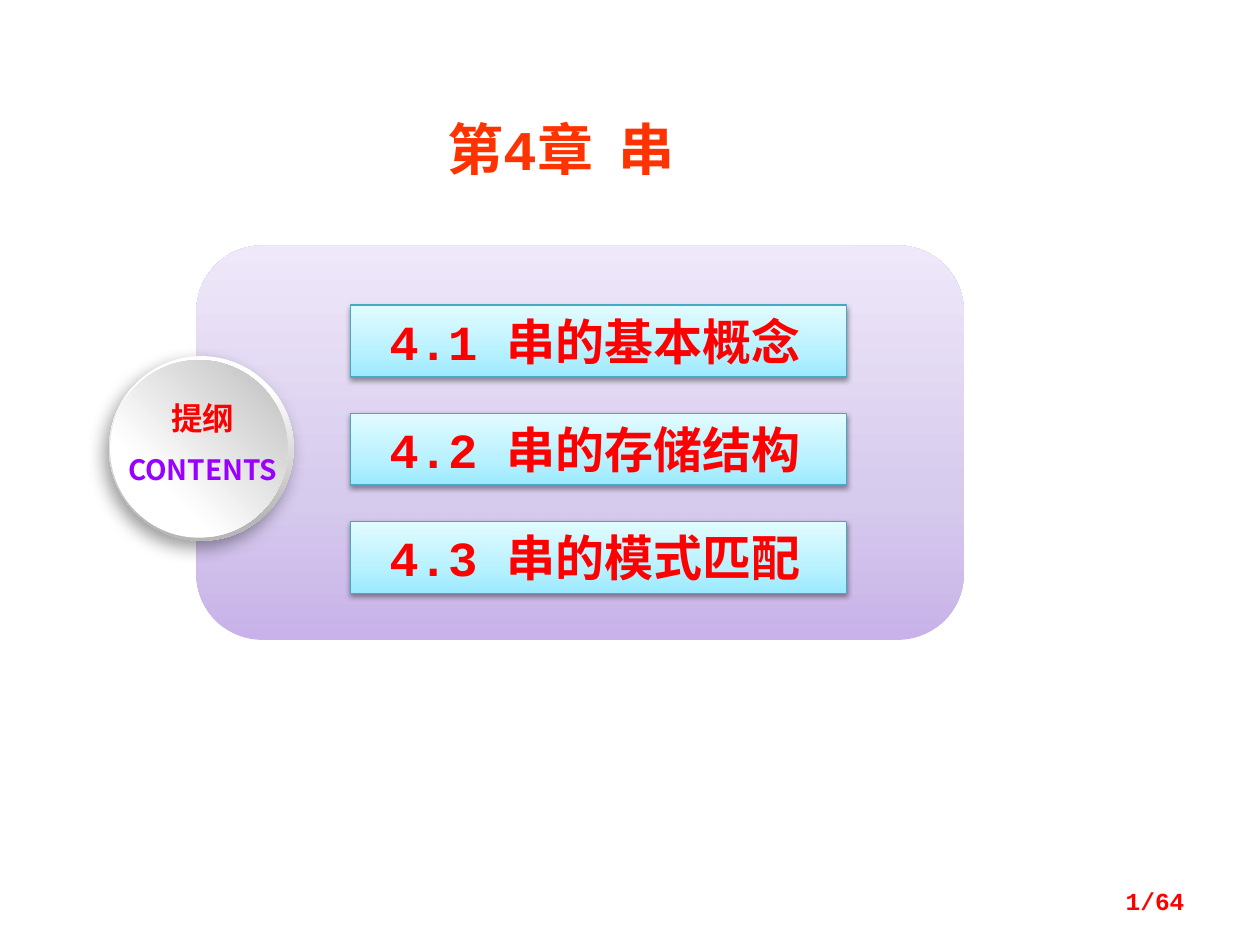
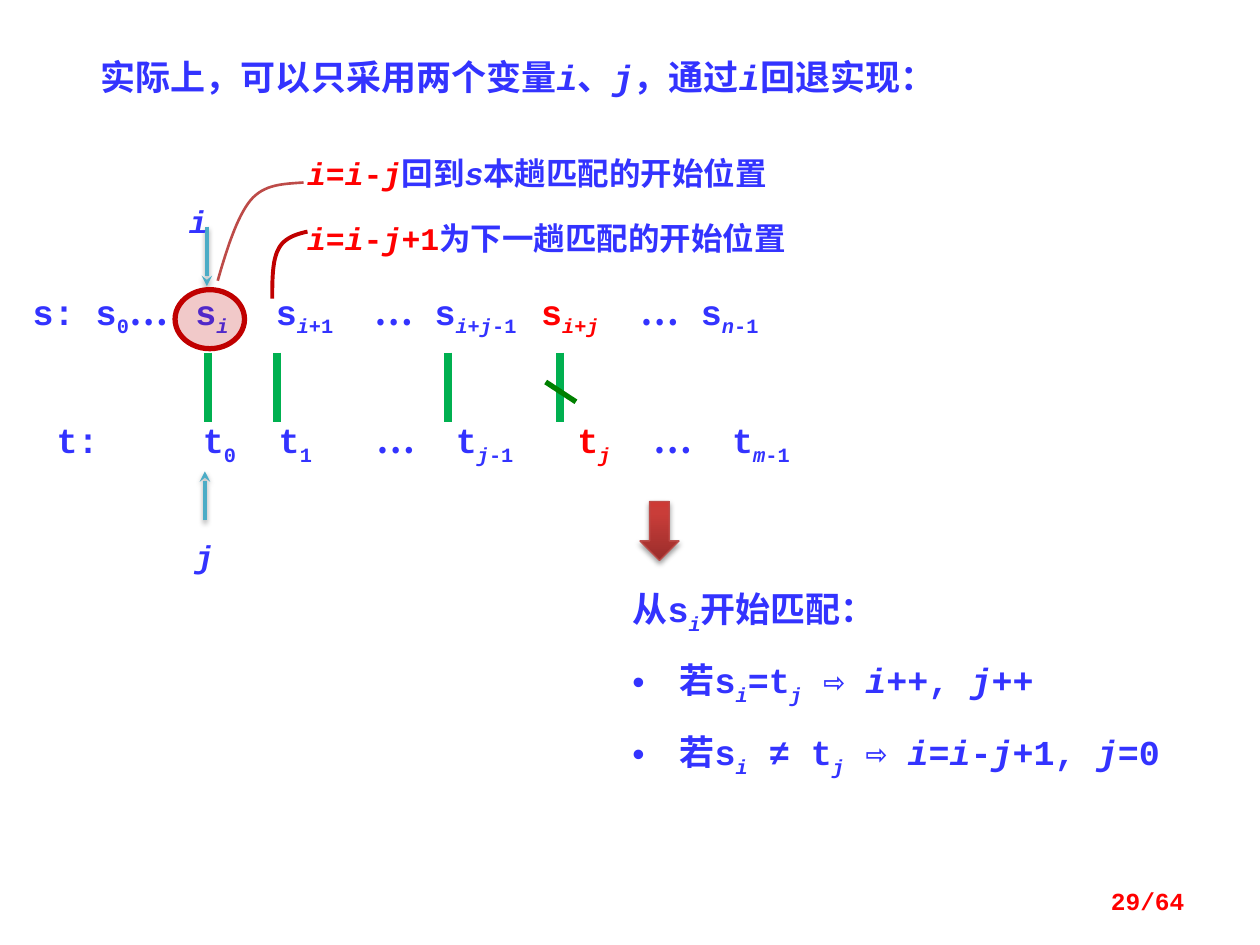
from lxml import etree
from pptx import Presentation
from pptx.dml.color import RGBColor
from pptx.enum.shapes import MSO_CONNECTOR, MSO_SHAPE
from pptx.enum.text import MSO_ANCHOR, PP_ALIGN
from pptx.oxml import parse_xml
from pptx.oxml.ns import qn
from pptx.util import Cm, Pt

LEFT, CENTER, RIGHT = PP_ALIGN.LEFT, PP_ALIGN.CENTER, PP_ALIGN.RIGHT
TOP, MIDDLE = MSO_ANCHOR.TOP, MSO_ANCHOR.MIDDLE
RECT, ROUND_RECT = MSO_SHAPE.RECTANGLE, MSO_SHAPE.ROUNDED_RECTANGLE
OVAL, DOWN_ARROW = MSO_SHAPE.OVAL, MSO_SHAPE.DOWN_ARROW
STRAIGHT = MSO_CONNECTOR.STRAIGHT

# Shared style
MONO, SANS = "Courier New", "Noto Sans CJK SC"
RED, ORANGE, BLUE, VIOLET = "FF0000", "FF3300", "3333FF", "9900FF"
GREEN, DARK_GREEN, TEAL = "00B050", "008000", "4BACC6"
DARK_RED, BRICK = "C00000", "BD4B48"
PANEL_STOPS = [(0, "C8B2E9"), (35, "D6CAED"), (100, "EFE8FA")]
TOPIC_STOPS = [(0, "9BE9FF"), (35, "B8F1FF"), (100, "E2FBFF")]
RIM_STOPS = [(0, "FFFFFF"), (17, "FFFFFF"), (88, "B7B7B7"), (100, "B7B7B7")]
DISC_STOPS = [(0, "FFFFFF"), (29, "FFFFFF"), (98, "BFBFBF"), (100, "BFBFBF")]
ARROW_STOPS = [(0, "992D2B"), (80, "C93D39"), (100, "CD3A36")]
SOFT_SHADOW = (38, 3.1, 1.6, 90)  # opacity %, blur pt, distance pt, angle
DEEP_SHADOW = (39, 10, 5, 123)
PAGE_BOX = (18.21, 17.65, 5.92, 1.02)
PAGE_TOTAL = 64


def rgb(color):
    return RGBColor.from_string(color)


def child(parent, tag, **attrs):
    """Append a drawing element with the given attributes."""
    el = etree.SubElement(parent, qn(tag))
    for name, value in attrs.items():
        el.set(name, str(value))
    return el


def set_effect(sp, shadow=None):
    """Replace the theme shadow with the given one, or with none."""
    effects = child(sp._element.spPr, "a:effectLst")
    if shadow:
        opacity, blur, dist, angle = shadow
        outer = child(effects, "a:outerShdw", blurRad=Pt(blur), dist=Pt(dist),
                      dir=angle * 60000, algn="ctr", rotWithShape=0)
        black = child(outer, "a:srgbClr", val="000000")
        child(black, "a:alpha", val=opacity * 1000)


def set_gradient(sp, stops, angle):
    sp.fill.solid()
    spPr = sp._element.spPr
    grad = parse_xml('<a:gradFill rotWithShape="1" xmlns:a='
                     '"http://schemas.openxmlformats.org/drawingml/2006/main"/>')
    stop_list = child(grad, "a:gsLst")
    for pos, color in stops:
        child(child(stop_list, "a:gs", pos=pos * 1000), "a:srgbClr", val=color)
    child(grad, "a:lin", ang=angle * 60000, scaled=0)
    spPr.replace(spPr.find(qn("a:solidFill")), grad)


def set_line(sp, line):
    if line:
        sp.line.color.rgb = rgb(line[0])
        sp.line.width = Pt(line[1])
    else:
        sp.line.fill.background()


def add_shape(s, kind, box, stops=None, angle=270, line=None, shadow=None):
    sp = s.shapes.add_shape(kind, *map(Cm, box))
    if stops:
        set_gradient(sp, stops, angle)
    set_line(sp, line)
    set_effect(sp, shadow)
    return sp


def add_line(s, start, end, line, arrow=False):
    sp = s.shapes.add_connector(STRAIGHT, *map(Cm, start + end))
    set_line(sp, line)
    if arrow:
        child(sp.line._get_or_add_ln(), "a:tailEnd", type="stealth")
    set_effect(sp, SOFT_SHADOW if arrow else None)


def add_curve(s, x, y, points, line, steps=16):
    """Draw joined cubic curves; each takes three more points."""
    track = [points[0]]
    for k in range(0, len(points) - 1, 3):
        for n in range(1, steps + 1):
            t = n / steps
            weights = ((1 - t) ** 3, 3 * t * (1 - t) ** 2, 3 * t * t * (1 - t), t ** 3)
            track.append([sum(w * p[axis] for w, p in zip(weights, points[k:k + 4]))
                          for axis in (0, 1)])
    track = [(Cm(x + px), Cm(y + py)) for px, py in track]
    builder = s.shapes.build_freeform(*track[0])
    builder.add_line_segments(track[1:], close=False)
    sp = builder.convert_to_shape()
    sp.fill.background()
    set_line(sp, line)
    set_effect(sp)


def add_runs(p, runs, size, color, font=MONO):
    """Flags: i italic, _ subscript, r red, e sans font."""
    for text, flags in runs:
        r = p.add_run()
        r.text = text
        face = SANS if "e" in flags else font
        style = {"size": Pt(size), "bold": True, "italic": "i" in flags, "name": face}
        for name, value in style.items():
            setattr(r.font, name, value)
        r.font.color.rgb = rgb(RED if "r" in flags else color)
        rPr = r._r.get_or_add_rPr()
        child(rPr, "a:ea", typeface=SANS)
        if "_" in flags:
            rPr.set("baseline", "-25000")


def write(sp, runs, size, color, font=MONO, align=LEFT, anchor=TOP, inset=0.25):
    tf = sp.text_frame
    frame = {"word_wrap": True, "vertical_anchor": anchor, "margin_left": Cm(inset),
             "margin_right": Cm(0.25), "margin_top": Cm(0.13), "margin_bottom": Cm(0.13)}
    for name, value in frame.items():
        setattr(tf, name, value)
    p = tf.paragraphs[0]
    p.alignment = align
    add_runs(p, runs, size, color, font)
    return p


def add_text(s, box, runs, size, color, **options):
    sp = s.shapes.add_textbox(*map(Cm, box))
    return write(sp, runs, size, color, **options)


def new_slide(prs, title_box, title, size, color, align, page):
    """Title and page number shared by all slides."""
    s = prs.slides.add_slide(prs.slide_layouts[5])
    sp = s.shapes.title
    for name, value in zip(("left", "top", "width", "height"), title_box):
        setattr(sp, name, Cm(value))
    write(sp, title, size, color, align=align)
    add_text(s, PAGE_BOX, [(f"{page}/{PAGE_TOTAL}", "")], 14, RED,
             align=RIGHT, anchor=MIDDLE)
    return s


# Chapter outline
def add_topics(s, box, topics):
    x, y, w, h = box
    sp = add_shape(s, ROUND_RECT, box, PANEL_STOPS)
    sp.adjustments[0] = 0.167
    for n, topic in enumerate(topics):
        sp = add_shape(s, RECT, (x + 3.1, y + 1.2 + n * 2.18, 10.01, 1.45),
                       TOPIC_STOPS, line=("45A9C4", 0.75), shadow=SOFT_SHADOW)
        write(sp, [(topic, "")], 28, RED, inset=0.79)


def add_contents_disc(s, box):
    x, y, w, h = box
    add_shape(s, OVAL, box, RIM_STOPS, 90, shadow=DEEP_SHADOW)
    add_shape(s, OVAL, (x + 0.02, y + 0.08, w - 0.14, h - 0.14), DISC_STOPS, 315)
    for label, dy, size, color in (("提纲", 0.74, 18, RED), ("CONTENTS", 1.81, 16, VIOLET)):
        add_text(s, (x - 0.17, y + dy, w + 0.39, 1), [(label, "")], size, color,
                 font=SANS, align=CENTER)


# String matching diagram
def add_tabbed_row(s, box, runs, tabs):
    p = add_text(s, box, runs, 20, BLUE)
    tab_list = child(p._p.get_or_add_pPr(), "a:tabLst")
    for pos in tabs:
        child(tab_list, "a:tab", pos=Cm(pos), algn="l")


def add_matching(s, x, y):
    # Source and pattern strings
    source = [("s: s", ""), ("0", "_"), ("…", "e"), ("\ts", ""), ("i", "i_"),
              ("\ts", ""), ("i", "i_"), ("+1", "_"), ("\t…", "e"),
              ("\ts", ""), ("i", "i_"), ("+", "_"), ("j", "i_"), ("-1", "_"),
              ("\ts", "r"), ("i", "ir_"), ("+", "r_"), ("j", "ir_"), ("\t…", "e"),
              ("\ts", ""), ("n", "i_"), ("-1", "_")]
    pattern = [("t:", ""), ("\tt", ""), ("0", "_"), ("\tt", ""), ("1", "_"),
               ("\t…", "e"), ("\tt", ""), ("j", "i_"), ("-1", "_"),
               ("\tt", "r"), ("j", "ir_"), ("\t…", "e"),
               ("\tt", ""), ("m", "i_"), ("-1", "_")]
    add_tabbed_row(s, (x, y + 2.75, 15.9, 1.27), source,
                   (3.28, 4.9, 6.9, 8.1, 10.25, 12.25, 13.47))
    add_tabbed_row(s, (x + 0.48, y + 5.34, 15.9, 1.12), pattern,
                   (2.95, 4.48, 6.45, 8.05, 10.5, 12.03, 13.62))

    # Index pointers
    for name, tx, ty, ax, start, end in (("j", 3.27, 7.72, 3.72, 7.52, 6.53),
                                         ("i", 3.15, 0.97, 3.76, 1.6, 2.8)):
        add_line(s, (x + ax, y + start), (x + ax, y + end), (TEAL, 2), arrow=True)
        add_text(s, (x + tx, y + ty, 1, 1.02), [(name, "i")], 18, BLUE)

    # Links between equal characters, and the failed one struck out
    for dx in (3.78, 5.18, 8.63, 10.87):
        add_line(s, (x + dx, y + 4.14), (x + dx, y + 5.54), (GREEN, 4.5))
    add_line(s, (x + 10.59, y + 4.73), (x + 11.2, y + 5.13), (DARK_GREEN, 3))

    # Notes on the start positions
    step_back = [("i", "ir"), ("=", "r"), ("i", "ir"), ("-", "r"), ("j", "ir")]
    add_text(s, (x + 5.53, y, 11, 1.02),
             step_back + [("回到", ""), ("s", "i"), ("本趟匹配的开始位置", "")], 18, BLUE)
    p = add_text(s, (x + 5.53, y + 0.99, 11, 1.19),
                 step_back + [("+1", "r"), ("为下一趟匹配的开始位置", "")], 18, BLUE)
    p.line_spacing = 1.44
    add_curve(s, x, y, [(5.71, 0.71), (5.3, 0.74), (4.92, 0.74), (4.64, 1.07),
                        (4.37, 1.4), (4.16, 2.06), (3.98, 2.69)], (BRICK, 1.5))
    add_curve(s, x, y, [(5.79, 1.7), (5.56, 1.75), (5.31, 1.83), (5.2, 2.06),
                        (5.08, 2.29), (5.08, 2.67), (5.08, 3.05)], (DARK_RED, 2.25))

    # Ring around the current character
    sp = add_shape(s, OVAL, (x + 3.12, y + 2.87, 1.4, 1.19), line=(DARK_RED, 3))
    sp.fill.solid()
    sp.fill.fore_color.rgb = rgb(DARK_RED)
    child(sp._element.spPr.find(qn("a:solidFill"))[0], "a:alpha", val=21000)


def add_rules(s, x, y):
    add_shape(s, DOWN_ARROW, (x + 0.4, y, 0.79, 1.19), ARROW_STOPS,
              line=(BRICK, 0.75), shadow=SOFT_SHADOW)
    lead = [("从s", ""), ("i", "i_"), ("开始匹配：", "")]
    rules = [
        [("若s", ""), ("i", "i_"), ("=t", ""), ("j", "i_"), (" ⇨ ", ""),
         ("i", "i"), ("++, ", ""), ("j", "i"), ("++", "")],
        [("若s", ""), ("i", "i_"), (" ≠ t", ""), ("j", "i_"), (" ⇨ ", ""),
         ("i", "i"), ("=", ""), ("i", "i"), ("-", ""), ("j", "i"), ("+1, ", ""),
         ("j", "i"), ("=0", "")],
    ]
    sp = s.shapes.add_textbox(*map(Cm, (x, y + 1.12, 12.12, 3.96)))
    write(sp, lead, 20, BLUE).line_spacing = 1.5
    for rule in rules:
        p = sp.text_frame.add_paragraph()
        p.line_spacing = 1.5
        add_runs(p, rule, 20, BLUE)
        pPr = p._p.get_or_add_pPr()
        pPr.set("marL", str(Cm(0.95)))
        pPr.set("indent", str(-Cm(0.95)))
        child(child(pPr, "a:buClr"), "a:srgbClr", val=BLUE)
        child(pPr, "a:buFont", typeface="Arial")
        child(pPr, "a:buChar", char="•")


def main():
    prs = Presentation()
    prs.slide_width, prs.slide_height = Cm(25.4), Cm(19.05)

    s = new_slide(prs, (6.35, 2.18, 9.93, 1.63), [("第4章  串", "")],
                  32, ORANGE, CENTER, 1)
    add_topics(s, (3.96, 4.95, 15.47, 7.95),
               ["4.1 串的基本概念", "4.2 串的存储结构", "4.3 串的模式匹配"])
    add_contents_disc(s, (2.2, 7.18, 3.72, 3.72))

    title = [("实际上，可以只采用两个变量", ""), ("i", "i"), ("、", ""), ("j", "i"),
             ("，通过", ""), ("i", "i"), ("回退实现：", "")]
    s = new_slide(prs, (1.78, 0.99, 20.83, 1.12), title, 20, BLUE, LEFT, 29)
    add_matching(s, 0.41, 2.97)
    add_rules(s, 12.5, 10.11)

    prs.save("out.pptx")


if __name__ == "__main__":
    main()
